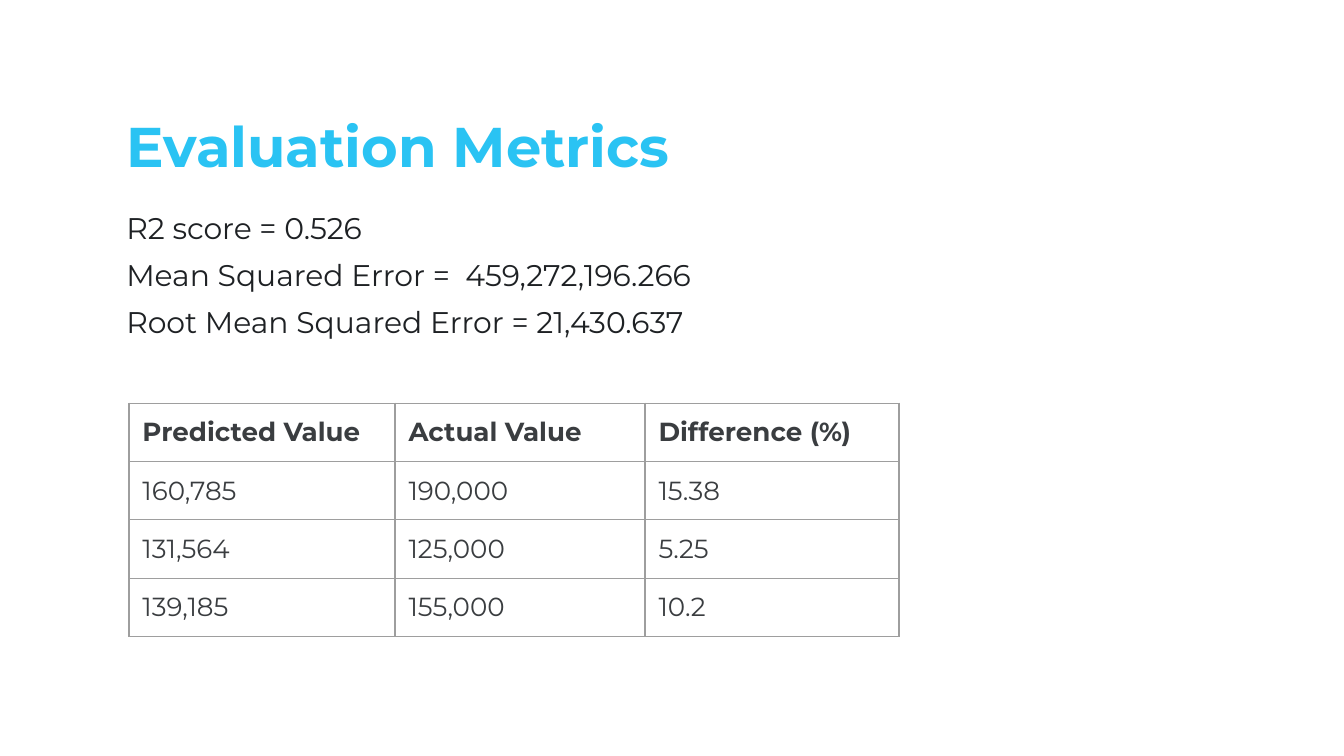
from lxml import etree
from pptx import Presentation
from pptx import util as u
from pptx.dml.color import RGBColor
from pptx.enum import text
from pptx.oxml.ns import qn

WIDTH = 10
HEIGHT = WIDTH * 9 / 16
FONT = "Montserrat"
TITLE = "Evaluation Metrics"
METRICS = [
    "R2 score = 0.526",
    "Mean Squared Error =  459,272,196.266",
    "Root Mean Squared Error = 21,430.637",
]
ROWS = [
    ("Predicted Value", "Actual Value", "Difference (%)"),
    ("160,785", "190,000", "15.38"),
    ("131,564", "125,000", "5.25"),
    ("139,185", "155,000", "10.2"),
]
COLUMN_WIDTHS = [1.98, 1.86, 1.89]
ROW_HEIGHT = 0.43
PADDING = 0.1
TEXT_LEFT, TEXT_WIDTH = 0.94, 8.13


def color(value):
    return RGBColor.from_string(value)


def add_span(para, words, size, ink, bold=False):
    span = para.add_run()
    span.text = words
    span.font.name = FONT
    span.font.size = u.Pt(size)
    span.font.bold = bold
    span.font.color.rgb = color(ink)


def set_margins(target, inset):
    for side in ("left", "top", "right", "bottom"):
        setattr(target, f"margin_{side}", u.Inches(inset))


def add_text(page, top, height, lines, size, ink, bold=False, spacing=1,
             gap=0, anchor=text.MSO_ANCHOR.TOP):
    box = page.shapes.add_textbox(*map(u.Inches, (TEXT_LEFT, top, TEXT_WIDTH, height)))
    frame = box.text_frame
    frame.word_wrap = True
    frame.vertical_anchor = anchor
    set_margins(frame, 0)
    for index, words in enumerate(lines):
        para = frame.add_paragraph() if index else frame.paragraphs[0]
        para.line_spacing = spacing
        para.space_before = u.Pt(gap if index else 0)
        add_span(para, words, size, ink, bold)


def add_borders(cell, ink, points):
    properties = cell._tc.get_or_add_tcPr()
    for index, side in enumerate(("lnL", "lnR", "lnT", "lnB")):
        line = etree.Element(qn(f"a:{side}"), w=str(u.Pt(points)))
        fill = etree.SubElement(line, qn("a:solidFill"))
        etree.SubElement(fill, qn("a:srgbClr"), val=ink)
        properties.insert(index, line)


def add_results(page, left, top):
    size = sum(COLUMN_WIDTHS), ROW_HEIGHT * len(ROWS)
    table = page.shapes.add_table(
        len(ROWS), len(COLUMN_WIDTHS), *map(u.Inches, (left, top, *size))).table
    table.horz_banding = False
    table.first_row = False
    for column, width in zip(table.columns, COLUMN_WIDTHS):
        column.width = u.Inches(width)
    for row_index, values in enumerate(ROWS):
        table.rows[row_index].height = u.Inches(ROW_HEIGHT)
        for column_index, words in enumerate(values):
            cell = table.cell(row_index, column_index)
            set_margins(cell, PADDING)
            cell.fill.background()
            add_borders(cell, "9E9E9E", 0.75)
            add_span(cell.text_frame.paragraphs[0], words, 14, "3A3D40", row_index == 0)


def main():
    """Build the evaluation metrics slide with its table of predictions."""
    deck = Presentation()
    deck.slide_width, deck.slide_height = u.Inches(WIDTH), u.Inches(HEIGHT)
    page = deck.slides.add_slide(deck.slide_layouts[6])
    add_text(page, 0.91, 0.43, [TITLE], 30, "2AC3F3", bold=True, spacing=0.9,
             anchor=text.MSO_ANCHOR.BOTTOM)
    add_text(page, 1.56, 1.27, METRICS, 16, "1E2124", gap=6)
    add_results(page, 0.96, 3)
    deck.save("out.pptx")


if __name__ == "__main__":
    main()
